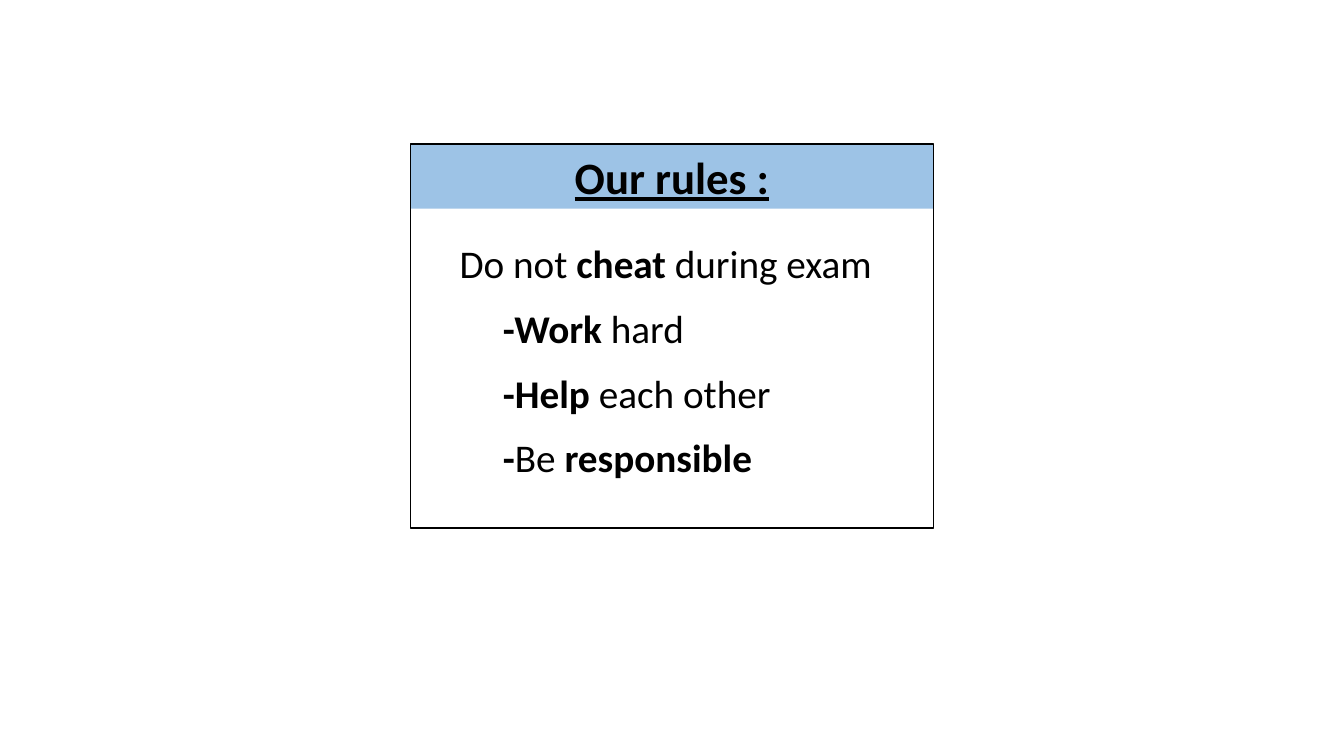
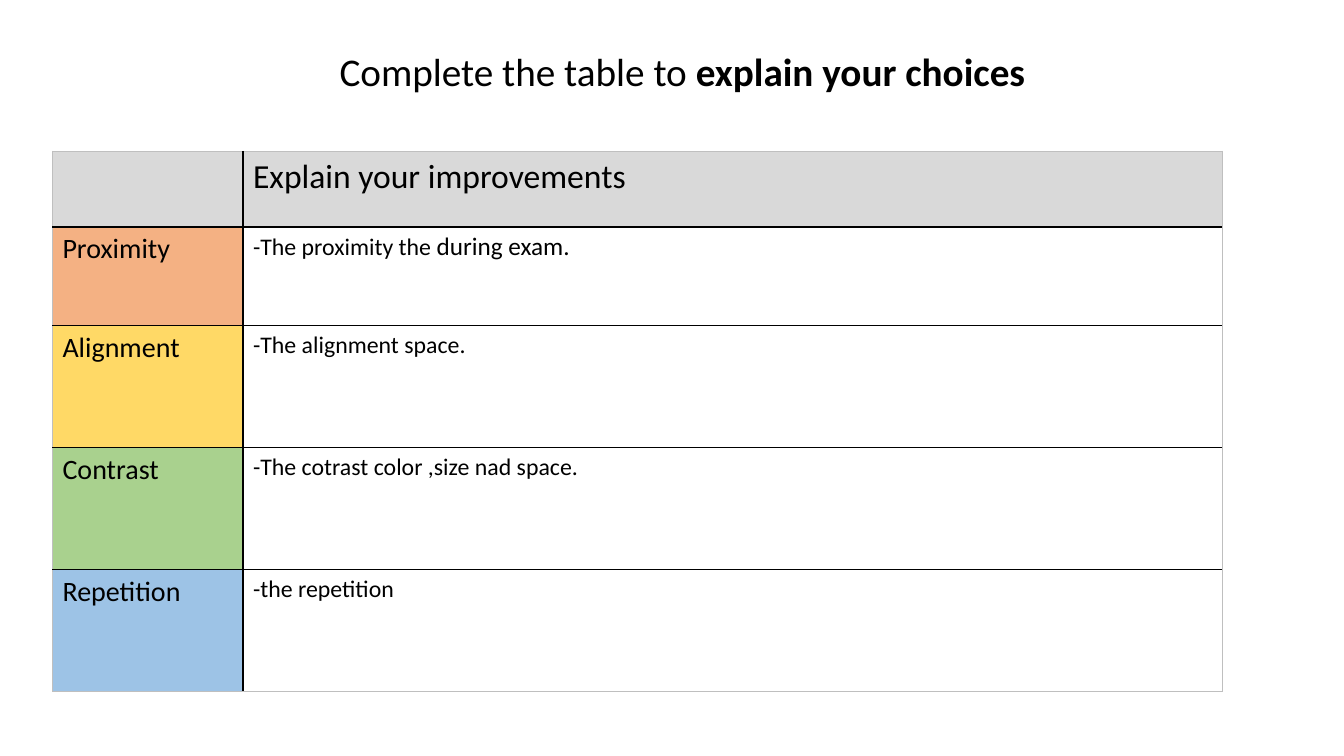
"""Build a two-slide deck: a rules card and a table of design choices."""
from lxml import etree
from pptx import Presentation
from pptx import util as u
from pptx.dml.color import RGBColor
from pptx.enum import shapes, text
from pptx.oxml.ns import qn

PX = 9144
FONT = "Calibri"
BLACK = RGBColor(0x00, 0x00, 0x00)
BLUE = RGBColor(0x9D, 0xC3, 0xE6)
ORANGE = RGBColor(0xF4, 0xB1, 0x83)
YELLOW = RGBColor(0xFF, 0xD9, 0x66)
GREEN = RGBColor(0xA9, 0xD1, 0x8E)
GREY = RGBColor(0xD9, 0xD9, 0xD9)
EDGE = RGBColor(0xBF, 0xBF, 0xBF)

RULES = [
    (36, [("Do not ", False), ("cheat", True), (" during exam", False)], 441),
    (79, [("-Work ", True), ("hard", False)], 203),
    (79, [("-Help ", True), ("each other", False)], 289),
    (79, [("-", True), ("Be ", False), ("responsible", True)], 270),
]
COLUMNS = [189, 971]
ROWS = [
    (75, GREY, "", [("Explain your improvements", 24)]),
    (98, ORANGE, "Proximity", [("-The proximity the ", 17), ("during exam.", 18)]),
    (121, YELLOW, "Alignment", [("-The alignment space.", 17)]),
    (121, GREEN, "Contrast", [("-The cotrast color ,size nad space.", 17)]),
    (121, BLUE, "Repetition", [("-the repetition", 17)]),
]


def px(*lengths):
    """Turn pixel lengths into EMU."""
    return [u.Emu(length * PX) for length in lengths]


def add_span(para, words, size, bold=False):
    """Add one formatted run to a paragraph."""
    span = para.add_run()
    span.text = words
    font = span.font
    font.name, font.size, font.bold = FONT, u.Pt(size), bold
    font.color.rgb = BLACK
    return span


def add_line(page, left, top, width, spans):
    """Place one unwrapped line of mixed regular and bold text."""
    box = page.shapes.add_textbox(*px(left, top, width, 57))
    frame = box.text_frame
    frame.word_wrap = False
    frame.auto_size = text.MSO_AUTO_SIZE.SHAPE_TO_FIT_TEXT
    for words, bold in spans:
        add_span(frame.paragraphs[0], words, 28, bold)


def add_rect(page, left, top, width, height):
    """Add a rectangle without shadow, fill or line."""
    rect = page.shapes.add_shape(
        shapes.MSO_SHAPE.RECTANGLE, *px(left, top, width, height))
    rect.shadow.inherit = False
    rect.fill.background()
    rect.line.fill.background()
    return rect


def add_rules_card(page, left, top, width, height):
    """Draw the framed card with its heading band and rules."""
    band = add_rect(page, left, top, width, 64)
    band.fill.solid()
    band.fill.fore_color.rgb = BLUE
    para = band.text_frame.paragraphs[0]
    para.alignment = text.PP_ALIGN.CENTER
    add_span(para, "Our rules :", 32, True).font.underline = True

    frame = add_rect(page, left, top, width, height)
    frame.line.color.rgb = BLACK
    frame.line.width = u.Pt(1)
    for index, (indent, spans, line_width) in enumerate(RULES):
        add_line(page, left + indent + 3, top + 90 + 64 * index, line_width, spans)


def add_border(cell, side, color, width):
    """Draw one border of a table cell."""
    line = etree.SubElement(
        cell._tc.get_or_add_tcPr(), qn(f"a:ln{side}"), w=str(u.Pt(width)))
    fill = etree.SubElement(line, qn("a:solidFill"))
    etree.SubElement(fill, qn("a:srgbClr"), val=str(color))


def style_cell(cell, row, column, color):
    """Draw a cell's grey outer edges and black inner edges, then fill it."""
    outer, inner, header = (EDGE, 0.75), (BLACK, 1), (BLACK, 2)
    last_row, last_column = len(ROWS) - 1, len(COLUMNS) - 1
    add_border(cell, "L", *(outer if column == 0 else inner))
    add_border(cell, "R", *(outer if column == last_column else inner))
    add_border(cell, "T", *(outer if row == 0 else header if row == 1 else inner))
    add_border(cell, "B", *(header if row == 0 else outer if row == last_row else inner))
    if color is None:
        cell.fill.background()
    else:
        cell.fill.solid()
        cell.fill.fore_color.rgb = color


def add_choices_table(page, left, top):
    """Draw the table that explains each design choice."""
    width, height = sum(COLUMNS), sum(row[0] for row in ROWS)
    table = page.shapes.add_table(
        len(ROWS), len(COLUMNS), *px(left, top, width, height)).table
    table.first_row = table.horz_banding = False
    for column, column_width in zip(table.columns, px(*COLUMNS)):
        column.width = column_width
    for index, (row_height, color, topic, answer) in enumerate(ROWS):
        table.rows[index].height = px(row_height)[0]
        topic_cell, answer_cell = table.cell(index, 0), table.cell(index, 1)
        style_cell(topic_cell, index, 0, color)
        style_cell(answer_cell, index, 1, color if index == 0 else None)
        if topic:
            add_span(topic_cell.text_frame.paragraphs[0], topic, 20)
        for words, size in answer:
            add_span(answer_cell.text_frame.paragraphs[0], words, size)


def main():
    """Build and save the deck."""
    deck = Presentation()
    deck.slide_width, deck.slide_height = u.Inches(13.33), u.Inches(7.5)
    blank = deck.slide_layouts[6]
    add_rules_card(deck.slides.add_slide(blank), 407, 143, 519, 381)
    page = deck.slides.add_slide(blank)
    add_choices_table(page, 52, 150)
    add_line(page, 327, 42, 707,
             [("Complete the table to ", False), ("explain your choices", True)])
    deck.save("out.pptx")


if __name__ == "__main__":
    main()
